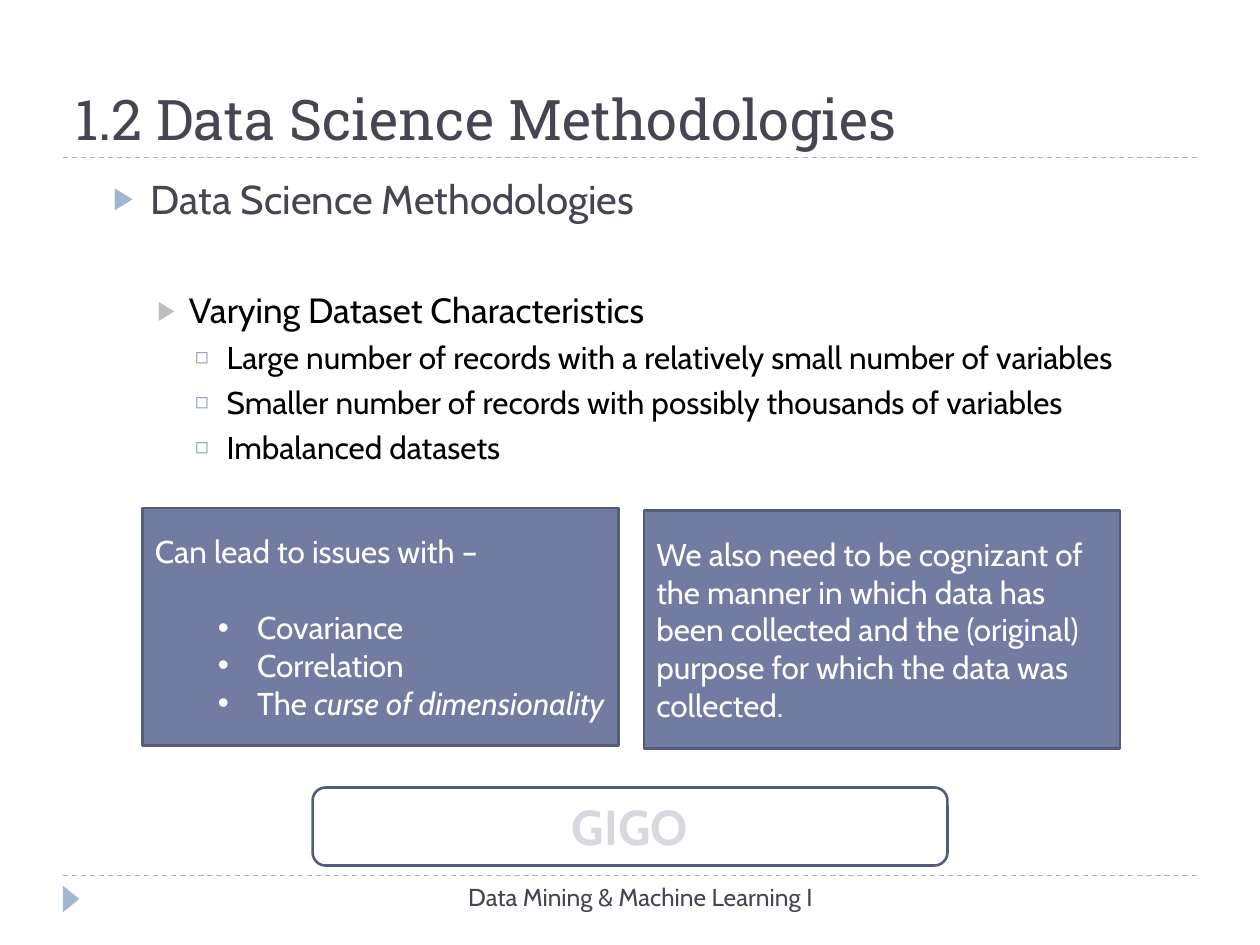
from lxml import etree
from pptx import Presentation
from pptx.dml.color import RGBColor
from pptx.enum.dml import MSO_LINE
from pptx.enum.shapes import MSO_CONNECTOR, MSO_SHAPE
from pptx.enum.text import MSO_ANCHOR, PP_ALIGN
from pptx.oxml.ns import qn
from pptx.util import Pt

STRAIGHT = MSO_CONNECTOR.STRAIGHT
RECTANGLE, ROUNDED, TRIANGLE = MSO_SHAPE.RECTANGLE, MSO_SHAPE.ROUNDED_RECTANGLE, MSO_SHAPE.ISOSCELES_TRIANGLE
DASH = MSO_LINE.DASH
TOP, MIDDLE, BOTTOM = MSO_ANCHOR.TOP, MSO_ANCHOR.MIDDLE, MSO_ANCHOR.BOTTOM
LEFT, CENTER = PP_ALIGN.LEFT, PP_ALIGN.CENTER

THEME = {
    "heading_font": "Roboto Slab", "body_font": "Cabin",
    "ink": "464653", "black": "000000", "white": "FFFFFF", "pale": "D8D8DE",
    "accent": "9FB8CD", "gray": "BDBDBD", "steel": "8CA2B5",
    "panel": "727CA3", "border": "545C79",
    "title": 32, "topic": 23, "subtopic": 20, "text": 18, "footer": 14, "slogan": 28,
}

STYLES = {
    "title": {"size": "title", "color": "ink", "font": "heading_font"},
    "topic": {"size": "topic", "color": "ink", "bullet": ("▶", "accent", 76), "indent": (43.2, -21.6)},
    "subtopic": {"size": "subtopic", "color": "black", "bullet": ("▶", "gray", 76),
                 "indent": (64.8, -18), "before": 38},
    "detail": {"size": "text", "color": "black", "bullet": ("◻", "steel", 70),
               "indent": (86.4, -18), "before": 4},
    "panel": {"size": "text", "color": "white"},
    "issue": {"size": "text", "color": "white", "bullet": ("•", "white", 100), "indent": (58.5, -22.5)},
    "first_issue": {"size": "text", "color": "white", "bullet": ("•", "white", 100),
                    "indent": (58.5, -22.5), "before": 22},
    "footer": {"size": "footer", "color": "ink", "align": CENTER},
    "slogan": {"size": "slogan", "color": "pale", "align": CENTER, "bold": True},
}

TEXT_BOXES = [
    ((36, 12.25, 648, 77.75), BOTTOM, [("title", ["1.2 Data Science Methodologies"])]),
    ((36, 96, 648, 404.5), TOP, [
        ("topic", ["Data Science Methodologies"]),
        ("subtopic", ["Varying Dataset Characteristics"]),
        ("detail", ["Large number of records with a relatively small number of variables"]),
        ("detail", ["Smaller number of records with possibly thousands of variables"]),
        ("detail", ["Imbalanced datasets"]),
    ]),
    ((228, 500.4, 276, 28.8), TOP, [("footer", ["Data Mining & Machine Learning I"])]),
]

PANELS = [
    ((81.4, 290.2), [
        ("panel", ["Can lead to issues with –"]),
        ("first_issue", ["Covariance"]),
        ("issue", ["Correlation"]),
        ("issue", ["The ", "curse of dimensionality"]),
    ]),
    ((368, 291.6), [
        ("panel", ["We also need to be cognizant of the manner in which data has been collected "
                   "and the (original) purpose for which the data was collected."]),
    ]),
]
PANEL_SIZE = (272, 136)
SLOGAN_FRAME = (178.6, 450, 362.8, 44.6)
SLOGAN_BOX = (242.6, 451.4, 234.7, 41)
MARKER = (33.1, 509, 15.1, 9.4)
RULE_SPAN = (36, 684)
RULE_HEIGHTS = (500.4, 90)


def color(name):
    return RGBColor.from_string(THEME[name])


def add_bullet(paragraph, bullet, indent):
    character, color_name, percent = bullet
    properties = paragraph._p.get_or_add_pPr()
    left, hanging = indent
    properties.set("marL", str(Pt(left)))
    properties.set("indent", str(Pt(hanging)))
    bullet_color = etree.SubElement(properties, qn("a:buClr"))
    etree.SubElement(bullet_color, qn("a:srgbClr"), val=THEME[color_name])
    etree.SubElement(properties, qn("a:buSzPct"), val=str(percent * 1000))
    etree.SubElement(properties, qn("a:buFont"), typeface="Arial")
    etree.SubElement(properties, qn("a:buChar"), char=character)


def write_text(shape, lines, anchor):
    frame = shape.text_frame
    frame.word_wrap = True
    frame.vertical_anchor = anchor
    for index, (style_name, runs) in enumerate(lines):
        style = STYLES[style_name]
        paragraph = frame.add_paragraph() if index else frame.paragraphs[0]
        if "bullet" in style:
            add_bullet(paragraph, style["bullet"], style["indent"])
        paragraph.alignment = style.get("align", LEFT)
        if index:
            paragraph.space_before = Pt(style.get("before", 0))
        paragraph.font.name = THEME[style.get("font", "body_font")]
        paragraph.font.size = Pt(THEME[style["size"]])
        paragraph.font.color.rgb = color(style["color"])
        paragraph.font.bold = style.get("bold", False)
        for position, text in enumerate(runs):
            run = paragraph.add_run()
            run.text = text
            if position:
                run.font.italic = True


def add_text(slide, box, lines, anchor):
    write_text(slide.shapes.add_textbox(*map(Pt, box)), lines, anchor)


def add_block(slide, kind, box, fill=None, line=None):
    shape = slide.shapes.add_shape(kind, *map(Pt, box))
    shape.shadow.inherit = False
    if fill:
        shape.fill.solid()
        shape.fill.fore_color.rgb = color(fill)
    else:
        shape.fill.background()
    if line:
        shape.line.color.rgb = color(line)
        shape.line.width = Pt(1.5)
    else:
        shape.line.fill.background()
    return shape


def add_rule(slide, height):
    start, end = RULE_SPAN
    rule = slide.shapes.add_connector(STRAIGHT, Pt(start), Pt(height), Pt(end), Pt(height))
    rule.line.color.rgb = color("accent")
    rule.line.width = Pt(0.75)
    rule.line.dash_style = DASH
    etree.SubElement(rule._element.spPr, qn("a:effectLst"))


def main():
    presentation = Presentation()
    presentation.slide_width, presentation.slide_height = Pt(720), Pt(540)
    slide = presentation.slides.add_slide(presentation.slide_layouts[6])
    for height in RULE_HEIGHTS:
        add_rule(slide, height)
    add_block(slide, TRIANGLE, MARKER, fill="accent").rotation = 90
    for box, anchor, lines in TEXT_BOXES:
        add_text(slide, box, lines, anchor)
    for corner, lines in PANELS:
        panel = add_block(slide, RECTANGLE, corner + PANEL_SIZE, "panel", "border")
        write_text(panel, lines, MIDDLE)
    add_block(slide, ROUNDED, SLOGAN_FRAME, line="border")
    add_text(slide, SLOGAN_BOX, [("slogan", ["GIGO"])], TOP)
    presentation.save("out.pptx")


if __name__ == "__main__":
    main()
